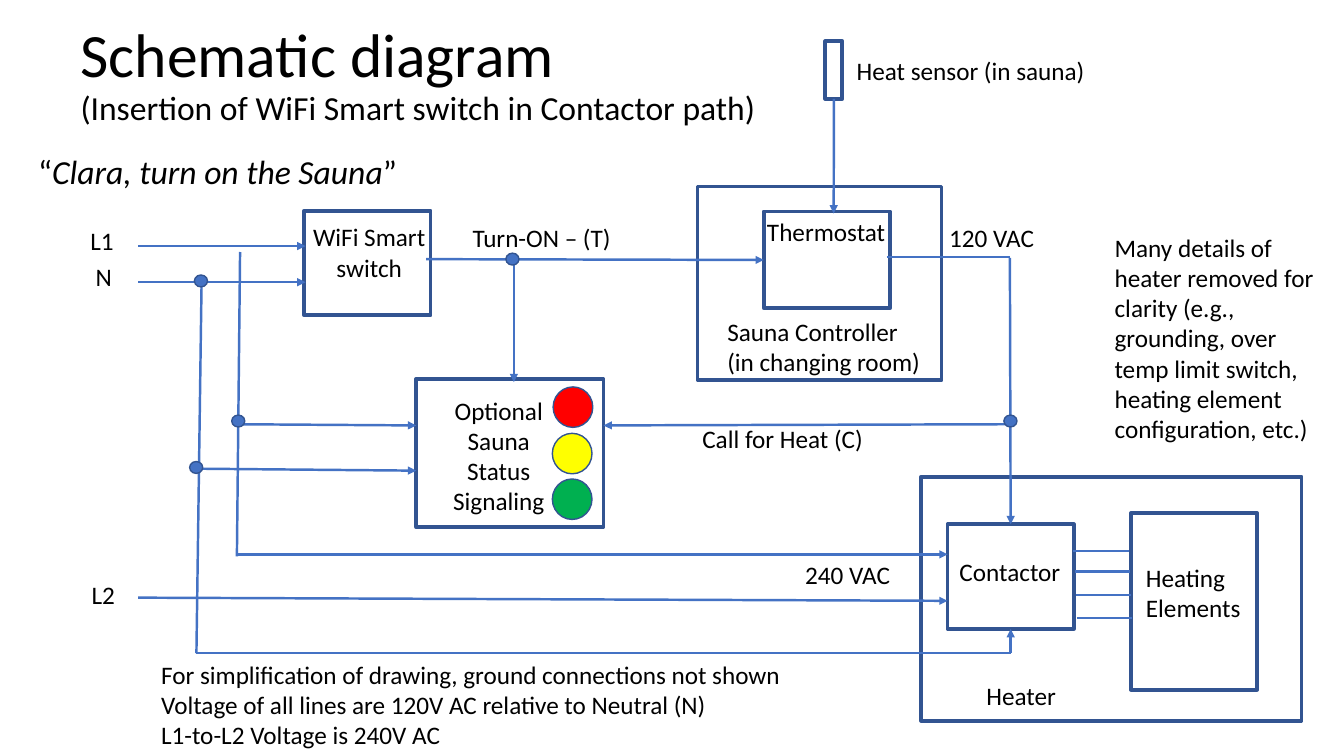
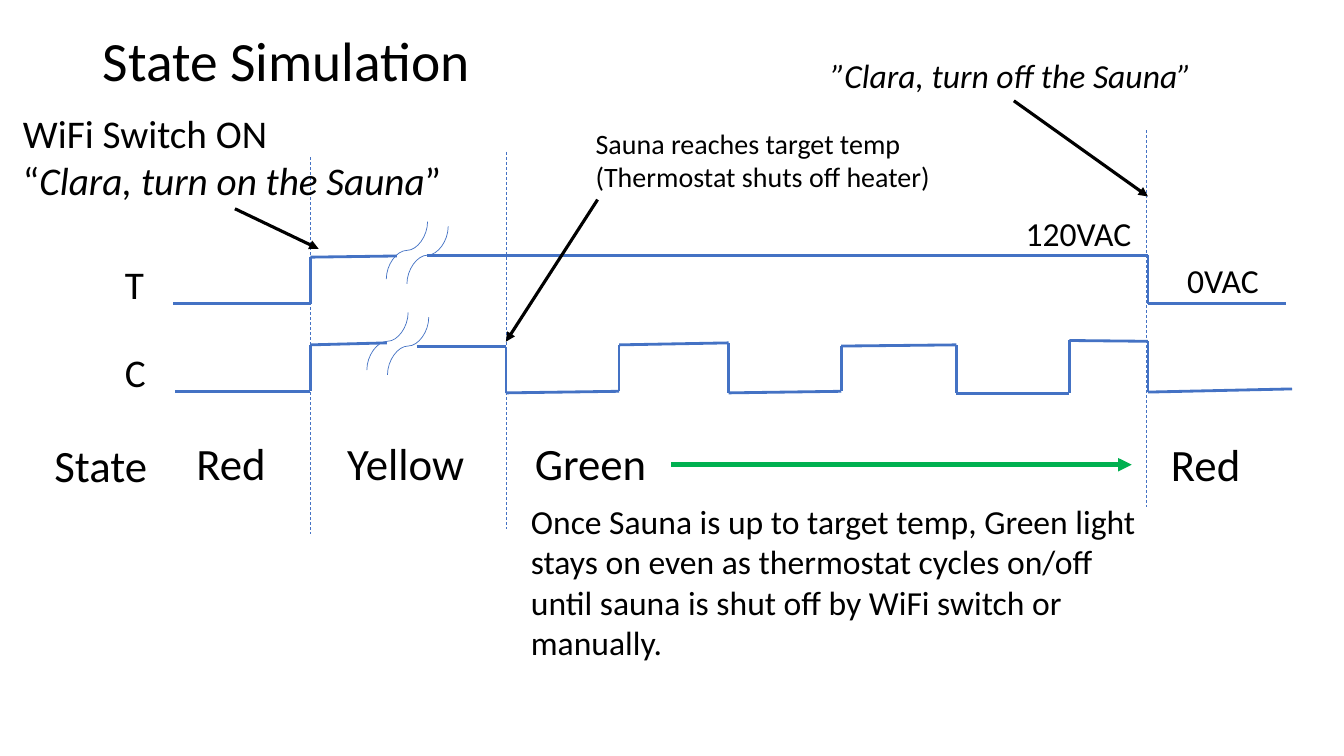
from itertools import pairwise

from pptx import Presentation
from pptx.dml.color import RGBColor
from pptx.enum.dml import MSO_LINE
from pptx.enum.shapes import MSO_CONNECTOR as CONNECTOR, MSO_SHAPE as SHAPE
from pptx.enum.text import MSO_ANCHOR as ANCHOR, MSO_AUTO_SIZE as FIT, PP_ALIGN as ALIGN
from pptx.oxml.ns import qn
from pptx.oxml.xmlchemy import OxmlElement
from pptx.util import Cm, Pt

COLORS = {
    "text": "000000",
    "wire": "4472C4",
    "outline": "325491",
    "red": "FF0000",
    "yellow": "FFFF00",
    "green": "00B050",
}
FONT = "Calibri"
TOP, LEFT, BOTTOM = 0, 1, 2
TURN_ON = [("“", {}), ("Clara, turn on the Sauna", {"italic": True}), ("”", {})]
TURN_OFF = [("”Clara, turn off the Sauna”", {"italic": True})]


def rgb(name):
    return RGBColor.from_string(COLORS[name])


def fill_frame(frame, paragraphs, size, align, line_spacing=None):
    """Write paragraphs, each a string or a list of (text, font format) runs."""
    for index, content in enumerate(paragraphs):
        paragraph = frame.paragraphs[0] if index == 0 else frame.add_paragraph()
        paragraph.alignment = align
        paragraph.line_spacing = line_spacing
        runs = [(content, {})] if isinstance(content, str) else content
        for words, extra in runs:
            run = paragraph.add_run()
            run.text = words
            run.font.color.rgb = rgb("text")
            for key, value in ({"name": FONT, "size": Pt(size)} | extra).items():
                setattr(run.font, key, value)


def add_title(slide, left, top, height, paragraphs, size):
    title = slide.shapes.add_textbox(Cm(left), Cm(top), Cm(29.21), Cm(height))
    frame = title.text_frame
    frame.word_wrap = True
    frame.vertical_anchor = ANCHOR.MIDDLE
    fill_frame(frame, paragraphs, size, ALIGN.LEFT, 0.9)


def add_label(slide, left, top, width, *paragraphs, size=18, align=ALIGN.LEFT, lines=None):
    """Add a text box; one that wraps is given its number of lines."""
    height = 0.25 + (lines or len(paragraphs)) * size * 1.2 * 2.54 / 72
    label = slide.shapes.add_textbox(Cm(left), Cm(top), Cm(width), Cm(height))
    frame = label.text_frame
    frame.word_wrap = lines is not None
    frame.auto_size = FIT.SHAPE_TO_FIT_TEXT
    fill_frame(frame, paragraphs, size, align)


def add_outlined(slide, preset, left, top, width, height, line_width, fill=None):
    shape = slide.shapes.add_shape(preset, Cm(left), Cm(top), Cm(width), Cm(height))
    shape.shadow.inherit = False
    shape.line.color.rgb = rgb("outline")
    shape.line.width = Pt(line_width)
    if fill:
        shape.fill.solid()
        shape.fill.fore_color.rgb = rgb(fill)
    else:
        shape.fill.background()
    return shape


def add_block(slide, *box):
    return add_outlined(slide, SHAPE.RECTANGLE, *box, 2.75)


def add_line(slide, start, end, color="wire", width=1.75, arrow=False, dash=None,
             kind=CONNECTOR.STRAIGHT):
    points = [Cm(value) for value in (*start, *end)]
    connector = slide.shapes.add_connector(kind, *points)
    line = connector.line
    line.color.rgb = rgb(color)
    line.width = Pt(width)
    if dash:
        line.dash_style = dash
    properties = connector._element.spPr
    if arrow:
        head = OxmlElement("a:tailEnd")
        head.set("type", "triangle")
        properties.find(qn("a:ln")).append(head)
    properties.append(OxmlElement("a:effectLst"))
    return connector


def add_break_mark(slide, left, top):
    """Add an upright S curve, drawn lying down and turned by 90 degrees."""
    curve = add_line(slide, (left, top), (left + 1.45, top + 1.04), width=0.5,
                     kind=CONNECTOR.CURVE)
    curve._element.spPr.find(qn("a:xfrm")).set("rot", "5400000")


def add_wave(slide, points):
    for start, end in pairwise(points):
        add_line(slide, start, end, width=2)


def build_schematic(slide):
    add_title(slide, 1.78, 0.08, 3.68, [
        "Schematic diagram",
        [("(Insertion of WiFi Smart switch in Contactor path)", {"size": Pt(24)})],
    ], 44)

    add_block(slide, 17.58, 4.7, 6.15, 4.88)     # sauna controller
    add_block(slide, 7.67, 5.31, 3.18, 2.64)     # smart switch
    add_block(slide, 23.22, 12.01, 9.58, 6.15)   # heater
    add_block(slide, 28.5, 12.93, 3.18, 4.45)    # heating elements
    add_block(slide, 10.49, 9.55, 4.72, 3.73)    # status signaling
    thermostat = add_block(slide, 19.25, 5.33, 3.18, 2.44)
    sensor = add_block(slide, 20.8, 1.04, 0.43, 1.45)
    contactor = add_block(slide, 23.88, 13.21, 3.18, 2.64)

    for start, end in (
        ((22.35, 6.48), (25.45, 6.48)),
        ((6.05, 6.35), (5.97, 14.02)),
        ((4.95, 16.46), (25.47, 16.46)),
        ((5.08, 7.11), (4.95, 16.46)),
    ):
        add_line(slide, start, end)
    for index, y in enumerate((13.89, 14.4, 14.99, 15.57)):
        x = 27.05 + 0.03 * index
        add_line(slide, (x, y), (x + 1.4, y))

    for start, end in (
        ((3.48, 6.2), (7.7, 6.2)),
        ((3.48, 7.11), (7.7, 7.11)),
        ((5.97, 13.97), (23.88, 13.97)),
        ((3.48, 15.06), (23.88, 15.14)),
        ((12.95, 6.58), (12.95, 9.63)),
        ((25.45, 10.69), (15.21, 10.72)),
        ((5.97, 10.69), (10.49, 10.72)),
        ((4.95, 11.81), (10.49, 11.86)),
    ):
        add_line(slide, start, end, arrow=True)
    sensing = add_line(slide, (21.01, 2.49), (21.01, 5.38), arrow=True)
    sensing.begin_connect(sensor, BOTTOM)
    for start, end, target, side in (
        ((10.74, 6.53), (19.25, 6.55), thermostat, LEFT),
        ((25.45, 6.5), (25.47, 13.21), contactor, TOP),
        ((25.47, 16.46), (25.47, 15.85), contactor, BOTTOM),
    ):
        add_line(slide, start, end, arrow=True).end_connect(target, side)

    for x, y in ((4.9, 6.93), (5.84, 10.46), (25.3, 10.46), (4.78, 11.63), (12.75, 6.38)):
        add_outlined(slide, SHAPE.OVAL, x, y, 0.33, 0.3, 1, "wire")
    for x, y, lamp in ((13.94, 9.75, "red"), (13.92, 10.92, "yellow"), (13.92, 12.07, "green")):
        add_outlined(slide, SHAPE.OVAL, x, y, 1, 1.02, 1, lamp)

    for label in (
        (18.08, 7.85, 5.44, "Sauna Controller", "(in changing room)"),
        (2.03, 5.56, 1.2, "L1"),
        (2.16, 6.45, 0.95, "N"),
        (2.06, 14.48, 1.2, "L2"),
        (19.08, 5.33, 3.53, "Thermostat"),
        (21.34, 1.27, 6.32, "Heat sensor (in sauna)"),
        (11.66, 5.49, 4.19, "Turn-ON – (T)"),
        (17.45, 10.54, 4.62, "Call for Heat (C)"),
        (23.93, 13.89, 3.07, "Contactor"),
        (24.61, 17.02, 2.29, "Heater"),
        (28.63, 14.05, 2.92, "Heating", "Elements"),
        (20.04, 13.97, 2.67, "240 VAC"),
        (23.67, 5.49, 2.67, "120 VAC"),
        (3.81, 16.48, 16.31,
         "For simplification of drawing, ground connections not shown",
         "Voltage of all lines are 120V AC relative to Neutral (N)",
         "L1-to-L2 Voltage is 240V AC"),
    ):
        add_label(slide, *label)
    add_label(slide, 7.55, 5.46, 3.51, "WiFi Smart", "switch", align=ALIGN.CENTER)
    add_label(slide, 11.15, 9.83, 2.84, "Optional", "Sauna", "Status", "Signaling",
              align=ALIGN.CENTER)
    add_label(slide, 0.71, 3.68, 9.7, TURN_ON, size=24)
    add_label(slide, 27.84, 5.72, 5.72,
              "Many details of heater removed for clarity (e.g., grounding, over temp "
              "limit switch, heating element configuration, etc.)", lines=7)


def build_simulation(slide):
    add_title(slide, 2.34, 1.02, 1.17, ["State Simulation"], 39.6)

    # Signal T, then signal C, each before and after its break
    add_wave(slide, [(4.37, 7.65), (7.82, 7.65), (7.82, 6.48), (10, 6.45)])
    add_wave(slide, [(10.77, 6.43), (28.93, 6.43), (28.93, 7.65), (32.41, 7.65)])
    add_wave(slide, [(4.42, 9.86), (7.82, 9.86), (7.82, 8.69), (9.75, 8.64)])
    add_wave(slide, [
        (10.5, 8.74), (12.75, 8.74), (12.75, 9.9), (15.6, 9.86),
        (15.6, 8.69), (18.36, 8.64), (18.36, 9.9), (21.2, 9.86),
        (21.2, 8.72), (24.1, 8.69), (24.1, 9.91), (26.95, 9.91),
        (26.95, 8.58), (28.93, 8.6), (28.93, 9.88), (32.56, 9.8),
    ])
    for left, top in ((9.53, 5.79), (9.04, 8.08)):
        add_break_mark(slide, left, top)
        add_break_mark(slide, left + 0.52, top + 0.12)
    for x, top in ((7.82, 3.96), (12.75, 3.83), (28.88, 3.28)):
        add_line(slide, (x, top), (x, top + 9.49), width=0.5, dash=MSO_LINE.DASH)

    for start, end in (
        ((15.06, 5.03), (12.75, 8.61)),
        ((5.92, 5.26), (8.03, 6.27)),
        ((25.55, 2.54), (28.93, 4.95)),
    ):
        add_line(slide, start, end, "text", 2.25, arrow=True)
    add_line(slide, (16.92, 11.71), (28.52, 11.71), "green", 3.25, arrow=True)

    for size, *label in (
        (28, 2.9, 6.43, 0.99, "T"),
        (28, 2.9, 8.64, 1.04, "C"),
        (32, 1.12, 10.9, 2.87, "State"),
        (32, 4.7, 10.85, 2.29, "Red"),
        (32, 8.5, 10.85, 3.8, "Yellow"),
        (32, 13.23, 10.85, 3.6, "Green"),
        (32, 29.26, 10.87, 2.29, "Red"),
        (20, 14.76, 3.05, 9.04, "Sauna reaches target temp", "(Thermostat shuts off heater)"),
        (28, 0.33, 2.62, 11.18, "WiFi Switch ON", TURN_ON),
        (24, 25.6, 5.23, 3.2, "120VAC"),
        (24, 29.67, 6.43, 2.34, "0VAC"),
        (24, 20.7, 1.27, 9.7, TURN_OFF),
    ):
        add_label(slide, *label, size=size)
    add_label(slide, 13.13, 12.5, 15.8,
              "Once Sauna is up to target temp, Green light stays on even as thermostat "
              "cycles on/off",
              "until sauna is shut off by WiFi switch or manually.", size=24, lines=4)


def main():
    deck = Presentation()
    deck.slide_width, deck.slide_height = Cm(33.87), Cm(19.05)
    blank = deck.slide_layouts[6]
    for build in (build_schematic, build_simulation):
        build(deck.slides.add_slide(blank))
    deck.save("out.pptx")


if __name__ == "__main__":
    main()
